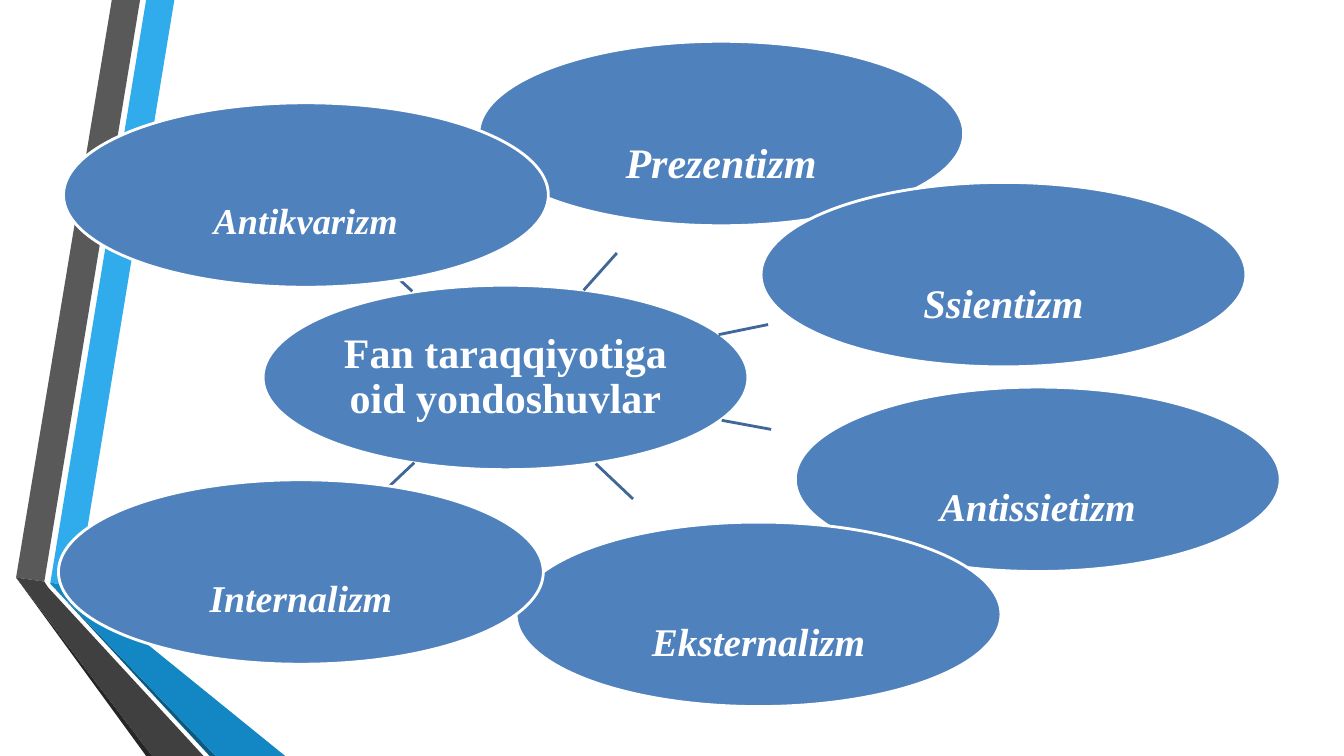
from dataclasses import dataclass
from typing import Any

from lxml.etree import SubElement
from pptx import Presentation
from pptx.dml.color import RGBColor
from pptx.enum.shapes import MSO_CONNECTOR as Connector, MSO_SHAPE as Preset
from pptx.enum.text import MSO_ANCHOR as Anchor, PP_ALIGN as Align
from pptx.oxml.ns import qn
from pptx.util import Inches, Length, Pt

Point = tuple[float, float]  # column, row

CELL = Inches(0.1)
COLUMNS, ROWS = 133.33, 75
OVAL_COLUMNS, OVAL_ROWS = 48.1, 18.3
INSET = Inches(0.02)
LABEL_DROP = 0.21  # rows of extra top inset per point of text size

COLORS = {
    "oval": "4F81BD", "white": "FFFFFF", "spoke": "3F6797",
    "sky": "30ACEC", "gray": "595959", "black": "262626",
    "navy": "0C5A82", "blue": "1287C3", "charcoal": "404040",
}


@dataclass(frozen=True)
class Ribbon:
    color: str
    corners: tuple[Point, ...]


@dataclass(frozen=True)
class Approach:
    name: str
    corner: Point
    size: int
    spoke_start: Point
    spoke_end: Point


RIBBONS = (
    Ribbon("sky", ((5, 57.8), (7.7, 58.3), (17.3, 0), (14.5, 0))),
    Ribbon("gray", ((13.9, 0), (11.1, 0), (1.6, 57.3), (4.4, 57.7))),
    Ribbon("black", ((1.6, 57.3), (14.5, ROWS), (15.1, ROWS))),
    Ribbon("navy", ((5, 57.9), (20.8, ROWS), (21.4, ROWS))),
    Ribbon("blue", ((5, 57.9), (21.4, ROWS), (28.3, ROWS), (7.7, 58.3), (5, 57.8))),
    Ribbon("charcoal", ((20.2, ROWS), (4.8, 58.3), (4.4, 57.7), (1.6, 57.3), (15.1, ROWS))),
)

APPROACHES = (
    Approach("Prezentizm", (47.5, 4.1), 30, (57.9, 28.8), (61.2, 25.1)),
    Approach("Ssientizm", (75.5, 18.1), 29, (71.3, 33.2), (76.2, 32.2)),
    Approach("Antissietizm", (78.9, 38.4), 28, (71.6, 41.7), (76.5, 42.6)),
    Approach("Eksternalizm", (51.2, 51.8), 28, (59.1, 46), (62.8, 49.5)),
    Approach("Internalizm", (5.8, 47.6), 27, (41.1, 45.9), (37.5, 49.3)),
    Approach("Antikvarizm", (6.3, 10.2), 26, (40.9, 28.9), (37.2, 25.5)),
)


def cells(count: float) -> Length:
    return Length(round(count * CELL))


def rgb(name: str) -> RGBColor:
    return RGBColor.from_string(COLORS[name])


def apply_format(target: Any, values: dict[str, Any]) -> None:
    for attribute, value in values.items():
        setattr(target, attribute, value)


def paint(shape: Any, color: str) -> None:
    shape.shadow.inherit = False
    shape.fill.solid()
    shape.fill.fore_color.rgb = rgb(color)


def outline(line: Any, color: str) -> None:
    line.color.rgb = rgb(color)
    line.width = Pt(2)


def draw_ribbon(shapes: Any, ribbon: Ribbon) -> None:
    start, *others = [(cells(x), cells(y)) for x, y in ribbon.corners]
    builder = shapes.build_freeform(*start)
    builder.add_line_segments(others, close=True)
    band = builder.convert_to_shape()
    paint(band, ribbon.color)
    band.line.fill.background()


def draw_oval(shapes: Any, label: str, corner: Point, size: int,
              italic: bool = False, drop: float = 0) -> None:
    """Draw a labelled ellipse, its text lowered by a top inset of drop rows."""
    oval = shapes.add_shape(Preset.OVAL, *map(cells, (*corner, OVAL_COLUMNS, OVAL_ROWS)))
    paint(oval, "oval")
    outline(oval.line, "white")
    frame = oval.text_frame
    apply_format(frame, {
        "word_wrap": True, "vertical_anchor": Anchor.MIDDLE,
        "margin_left": INSET, "margin_right": INSET,
        "margin_top": INSET + cells(drop), "margin_bottom": INSET,
    })
    paragraph = frame.paragraphs[0]
    apply_format(paragraph, {"alignment": Align.CENTER, "line_spacing": 0.9})
    run = paragraph.add_run()
    run.text = label
    apply_format(run.font, {
        "name": "Times New Roman", "size": Pt(size), "bold": True, "italic": italic,
    })
    run.font.color.rgb = rgb("white")


def draw_spoke(shapes: Any, start: Point, end: Point) -> None:
    spoke = shapes.add_connector(Connector.STRAIGHT, *map(cells, (*start, *end)))
    outline(spoke.line, "spoke")
    SubElement(spoke._element.spPr, qn("a:effectLst"))


def main() -> None:
    deck = Presentation()
    apply_format(deck, {"slide_width": cells(COLUMNS), "slide_height": cells(ROWS)})
    shapes = deck.slides.add_slide(deck.slide_layouts[6]).shapes
    for ribbon in RIBBONS:
        draw_ribbon(shapes, ribbon)
    draw_oval(shapes, "Fan taraqqiyotiga oid yondoshuvlar", (26.1, 28.3), 30)
    for approach in APPROACHES:
        draw_spoke(shapes, approach.spoke_start, approach.spoke_end)
        draw_oval(shapes, approach.name, approach.corner, approach.size,
                  italic=True, drop=LABEL_DROP * approach.size)
    deck.save("out.pptx")


if __name__ == "__main__":
    main()
